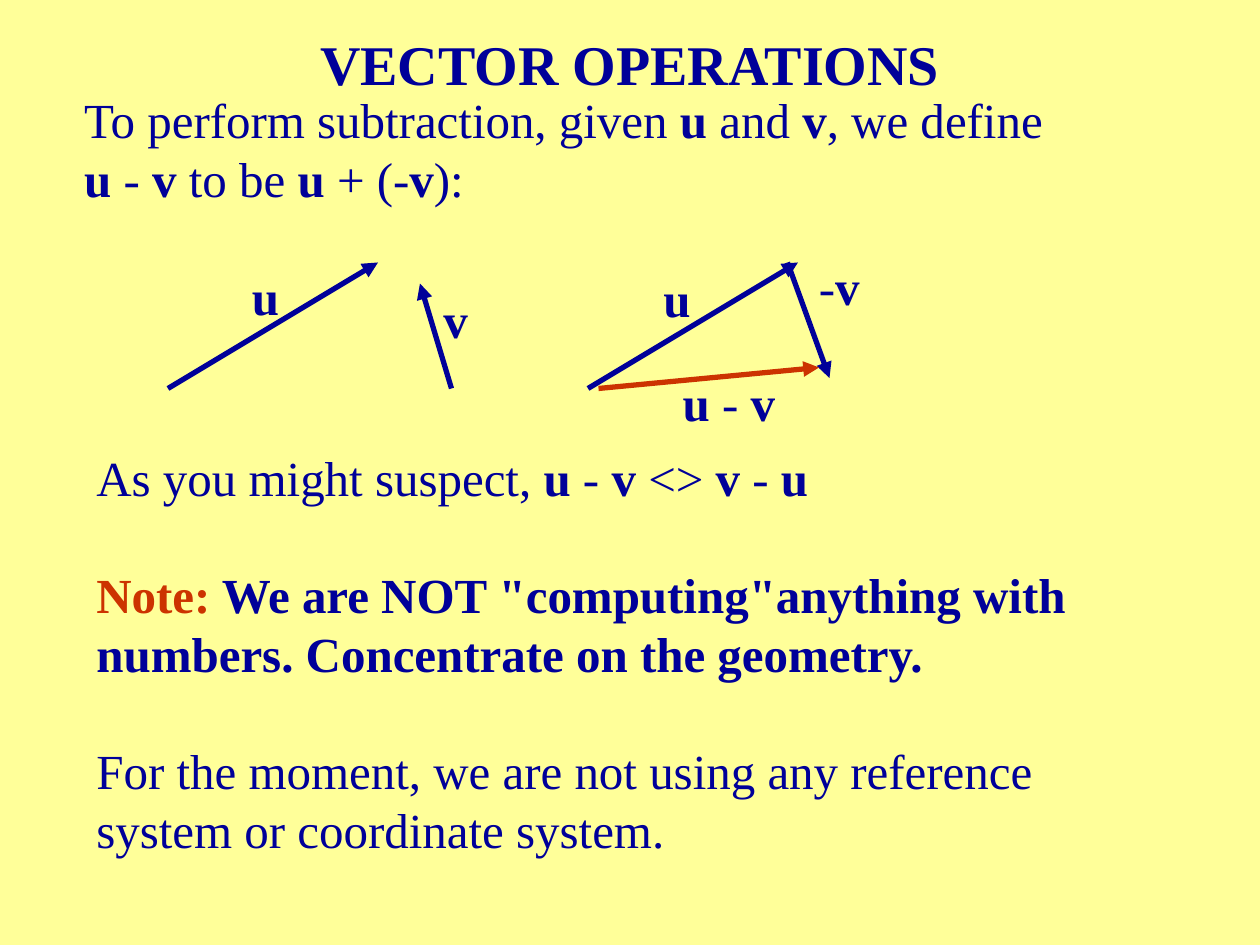
"""Build a slide that explains vector subtraction with arrows."""
from lxml.etree import SubElement
from pptx import Presentation
from pptx.dml.color import RGBColor
from pptx.enum.shapes import MSO_CONNECTOR
from pptx.enum.text import MSO_ANCHOR, MSO_AUTO_SIZE, PP_ALIGN
from pptx.oxml.ns import qn
from pptx.util import Inches, Pt

YELLOW = RGBColor(0xFF, 0xFF, 0x99)
NAVY = RGBColor(0x00, 0x00, 0x99)
RED = RGBColor(0xCC, 0x33, 0x00)
BODY_SIZE = 28
BLOCK_GAP = 33.5

presentation = Presentation()
presentation.slide_width, presentation.slide_height = Inches(10), Inches(7.5)
CELL = presentation.slide_width / 120
slide = presentation.slides.add_slide(presentation.slide_layouts[6])
slide.background.fill.solid()
slide.background.fill.fore_color.rgb = YELLOW


def grid(*cells):
    return [round(cell * CELL) for cell in cells]


def add_text(box, paragraphs, size=BODY_SIZE, gap=0, **frame_format):
    """Write paragraphs in which asterisks switch bold on and off."""
    frame = slide.shapes.add_textbox(*grid(*box)).text_frame
    for name, value in frame_format.items():
        setattr(frame, name, value)
    for index, text in enumerate(paragraphs):
        paragraph = frame.add_paragraph() if index else frame.paragraphs[0]
        if index:
            paragraph.space_before = Pt(gap)
        for part, words in enumerate(text.split("*")):
            if words:
                run = paragraph.add_run()
                run.text = words
                font_format = {"name": "Times New Roman", "size": Pt(size), "bold": part % 2 == 1}
                for name, value in font_format.items():
                    setattr(run.font, name, value)
                run.font.color.rgb = RED if words == "Note:" else NAVY
    return frame


title = add_text((9, 3, 102, 6), ["*VECTOR OPERATIONS*"], size=32,
                 word_wrap=True, vertical_anchor=MSO_ANCHOR.MIDDLE)
title.paragraphs[0].alignment = PP_ALIGN.CENTER

add_text((6.84, 7.92, 93.96, 12.48),
         ["To perform subtraction, given* u *and *v*, we define",
          "*u* - *v *to be *u* + (-*v*):"],
         word_wrap=False, auto_size=MSO_AUTO_SIZE.SHAPE_TO_FIT_TEXT)

arrows = [
    (16, 37, 36, 25, NAVY),
    (43, 37, 40, 27, NAVY),
    (56, 37, 76, 25, NAVY),
    (75, 25, 79, 36, NAVY),
    (57, 37, 78, 35, RED),
]
for *ends, color in arrows:
    arrow = slide.shapes.add_connector(MSO_CONNECTOR.STRAIGHT, *grid(*ends))
    arrow.line.width = Pt(3)
    arrow.line.color.rgb = color
    SubElement(arrow.line._get_or_add_ln(), qn("a:tailEnd"), type="triangle")
    SubElement(arrow._element.spPr, qn("a:effectLst"))

labels = [
    (22.8, 24.84, 4.92, "*u*"),
    (41.04, 27, 4.68, "*v*"),
    (62, 25, 4.92, "*u*"),
    (76.8, 23.88, 6.24, "-*v*"),
    (63.84, 34.92, 12, "*u *- *v*"),
]
for left, top, width, text in labels:
    add_text((left, top, width, 6.84), [text], word_wrap=False)

add_text((8, 42, 102.24, 40.44),
         ["As you might suspect, *u* - *v *<> *v* - *u*",
          "*Note:** We are NOT \"computing\"anything with numbers. Concentrate on the geometry.*",
          "For the moment, we are not using any reference system or coordinate system."],
         gap=BLOCK_GAP, word_wrap=True, auto_size=MSO_AUTO_SIZE.SHAPE_TO_FIT_TEXT)

presentation.save("out.pptx")
